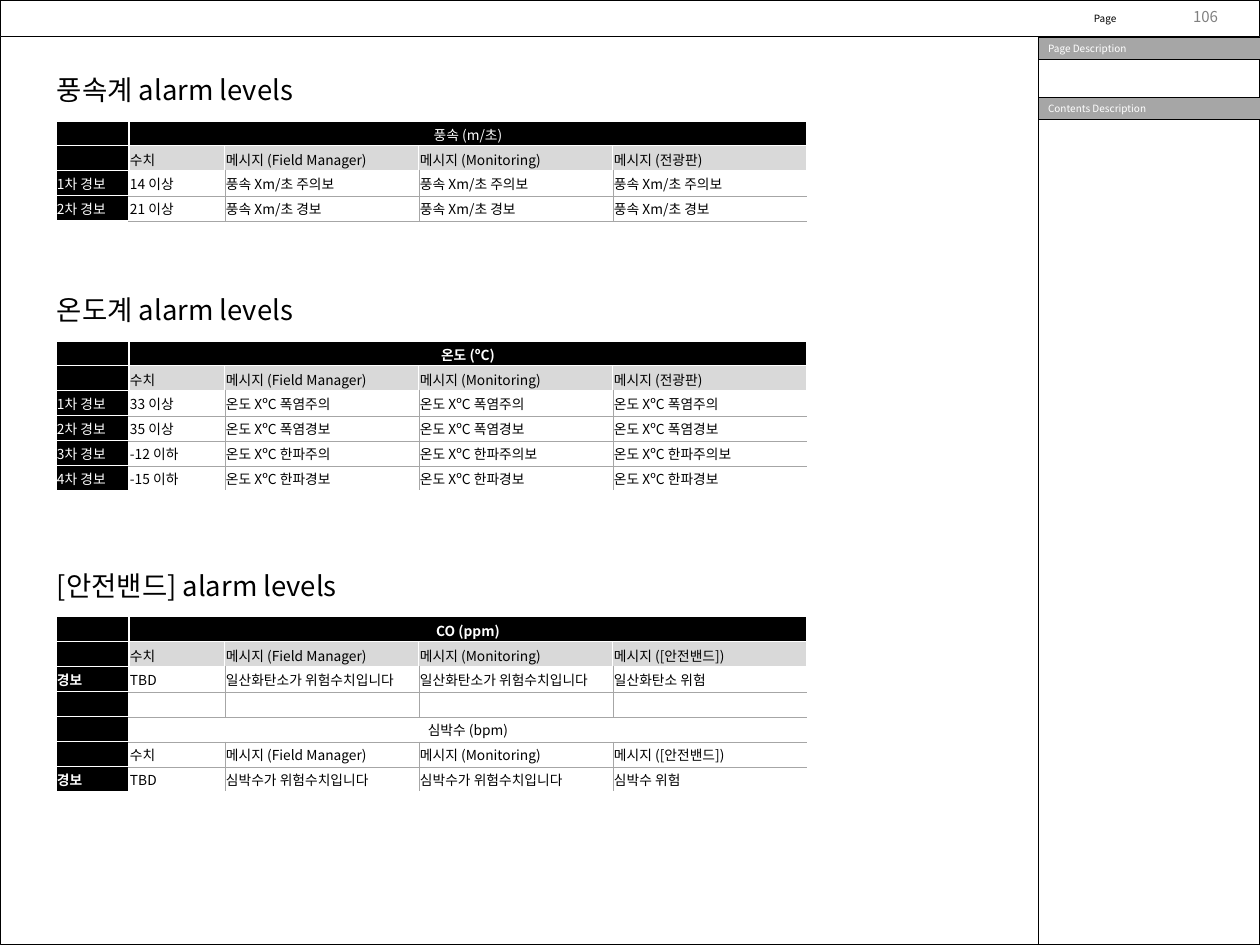
"""Build the alarm levels slide with three tables and a description panel."""
from lxml.etree import SubElement
from pptx import Presentation
from pptx.dml.color import RGBColor
from pptx.enum.shapes import MSO_SHAPE
from pptx.enum.text import MSO_ANCHOR, PP_ALIGN
from pptx.oxml.ns import qn
from pptx.util import Pt

PX = 10160
FONT = "Noto Sans CJK KR"
HEX = {"white": "FFFFFF", "black": "000000", "gray": "A6A6A6", "pale": "D9D9D9", "num": "808080"}
RGB = {name: RGBColor.from_string(code) for name, code in HEX.items()}


def write(para, text, size, color, bold=False):
    run = para.add_run()
    run.text = text
    font = run.font
    font.name, font.size, font.bold = FONT, Pt(size), bold
    font.color.rgb = RGB[color]
    SubElement(font._element, qn("a:ea"), typeface=FONT)


def edge(cell, side, color):
    width = Pt(0.25) if color == "gray" else Pt(1)
    line = SubElement(cell._tc.get_or_add_tcPr(), qn("a:ln" + side), w=str(width))
    fill = SubElement(line, qn("a:solidFill"))
    SubElement(fill, qn("a:srgbClr"), val=HEX[color])


deck = Presentation()
deck.slide_width, deck.slide_height = 1260 * PX, 945 * PX
slide = deck.slides.add_slide(deck.slide_layouts[6])

frames = [
    (1038, 0, 222, 945, "white", ""),
    (0, 0, 1260, 945, None, ""),
    (1038, 37, 222, 22, "gray", "Page Description"),
    (1038, 97, 222, 22, "gray", "Contents Description"),
    (0, 0, 1260, 37, "white", ""),
]
for x, y, w, h, color, label in frames:
    box = slide.shapes.add_shape(MSO_SHAPE.RECTANGLE, x * PX, y * PX, w * PX, h * PX)
    box.shadow.inherit = False
    box.line.color.rgb, box.line.width = RGB["black"], Pt(0.75)
    if color:
        box.fill.solid()
        box.fill.fore_color.rgb = RGB[color]
    else:
        box.fill.background()
    if label:
        frame = box.text_frame
        frame.margin_left = frame.margin_right = 10 * PX
        frame.vertical_anchor = MSO_ANCHOR.MIDDLE
        para = frame.paragraphs[0]
        para.alignment = PP_ALIGN.LEFT
        write(para, label, 8, "white")

marks = [
    (1167, 3, 62, 23, 11, 5, "106", 12, "num", PP_ALIGN.RIGHT),
    (1085, 8, 118, 22, 9, 5, "Page", 8, "black", PP_ALIGN.LEFT),
]
for x, y, w, h, side, top, label, size, color, align in marks:
    frame = slide.shapes.add_textbox(x * PX, y * PX, w * PX, h * PX).text_frame
    frame.word_wrap = True
    frame.margin_left = frame.margin_right = side * PX
    frame.margin_top = frame.margin_bottom = top * PX
    para = frame.paragraphs[0]
    para.alignment = align
    write(para, label, size, color)

field, watch = "메시지 (Field Manager)", "메시지 (Monitoring)"
board = ["", "수치", field, watch, "메시지 (전광판)"]
band = ["", "수치", field, watch, "메시지 ([안전밴드])"]
gas, heart = "일산화탄소가 위험수치입니다", "심박수가 위험수치입니다"
tables = [
    (68, "풍속계 alarm levels", [
        ["", "풍속 (m/초)"],
        board,
        ["1차 경보", "14 이상"] + ["풍속 Xm/초 주의보"] * 3,
        ["2차 경보", "21 이상"] + ["풍속 Xm/초 경보"] * 3,
    ]),
    (288, "온도계 alarm levels", [
        ["", "온도 (ºC)"],
        board,
        ["1차 경보", "33 이상"] + ["온도 XºC 폭염주의"] * 3,
        ["2차 경보", "35 이상"] + ["온도 XºC 폭염경보"] * 3,
        ["3차 경보", "-12 이하", "온도 XºC 한파주의"] + ["온도 XºC 한파주의보"] * 2,
        ["4차 경보", "-15 이하"] + ["온도 XºC 한파경보"] * 3,
    ]),
    (564, "[안전밴드] alarm levels", [
        ["", "CO (ppm)"],
        band,
        ["경보", "TBD", gas, gas, "일산화탄소 위험"],
        [""] * 5,
        ["", "심박수 (bpm)"],
        band,
        ["경보", "TBD", heart, heart, "심박수 위험"],
    ]),
]
widths = [73, 96, 194, 194, 194]
bolds = {"온도 (ºC)", "CO (ppm)", "경보"}

for top, title, body in tables:
    rows = [[title], [""] * 5] + body
    last = len(rows) - 1
    highs = [41, 12] + [25] * len(body)
    shape = slide.shapes.add_table(len(rows), 5, 56 * PX, top * PX, sum(widths) * PX, sum(highs) * PX)
    table = shape.table
    table.first_row = table.horz_banding = False
    for col, wide in zip(table.columns, widths):
        col.width = wide * PX
    for row, high in zip(table.rows, highs):
        row.height = high * PX
    table.cell(0, 0).merge(table.cell(0, 2))
    for r, texts in enumerate(rows):
        if len(texts) == 2:
            table.cell(r, 1).merge(table.cell(r, 4))
        for c in range(5):
            cell = table.cell(r, c)
            text = texts[c] if c < len(texts) else ""
            end = c + cell.span_width - 1 if cell.is_merge_origin else c
            data = r > 3 and c > 0
            open_end = r == last and top != 68
            edge(cell, "L", "gray" if data and c > 1 else "white")
            edge(cell, "R", "gray" if data and end < 4 else "white")
            edge(cell, "T", "gray" if data and r > 4 else "white")
            edge(cell, "B", "gray" if data and not open_end else "white")
            dark = r > 1 and c == 0 or r == 2
            cell.fill.solid()
            cell.fill.fore_color.rgb = RGB["black" if dark else "pale" if r == 3 else "white"]
            cell.vertical_anchor = MSO_ANCHOR.MIDDLE
            cell.margin_left = cell.margin_right = cell.margin_top = PX
            cell.margin_bottom = 0
            para = cell.text_frame.paragraphs[0]
            if len(texts) == 2 and c == 1:
                para.alignment = PP_ALIGN.CENTER
            if text:
                write(para, text, 11 if r else 22, "white" if dark else "black", text in bolds)
            else:
                SubElement(para._p, qn("a:endParaRPr"), sz="500")

deck.save("out.pptx")
